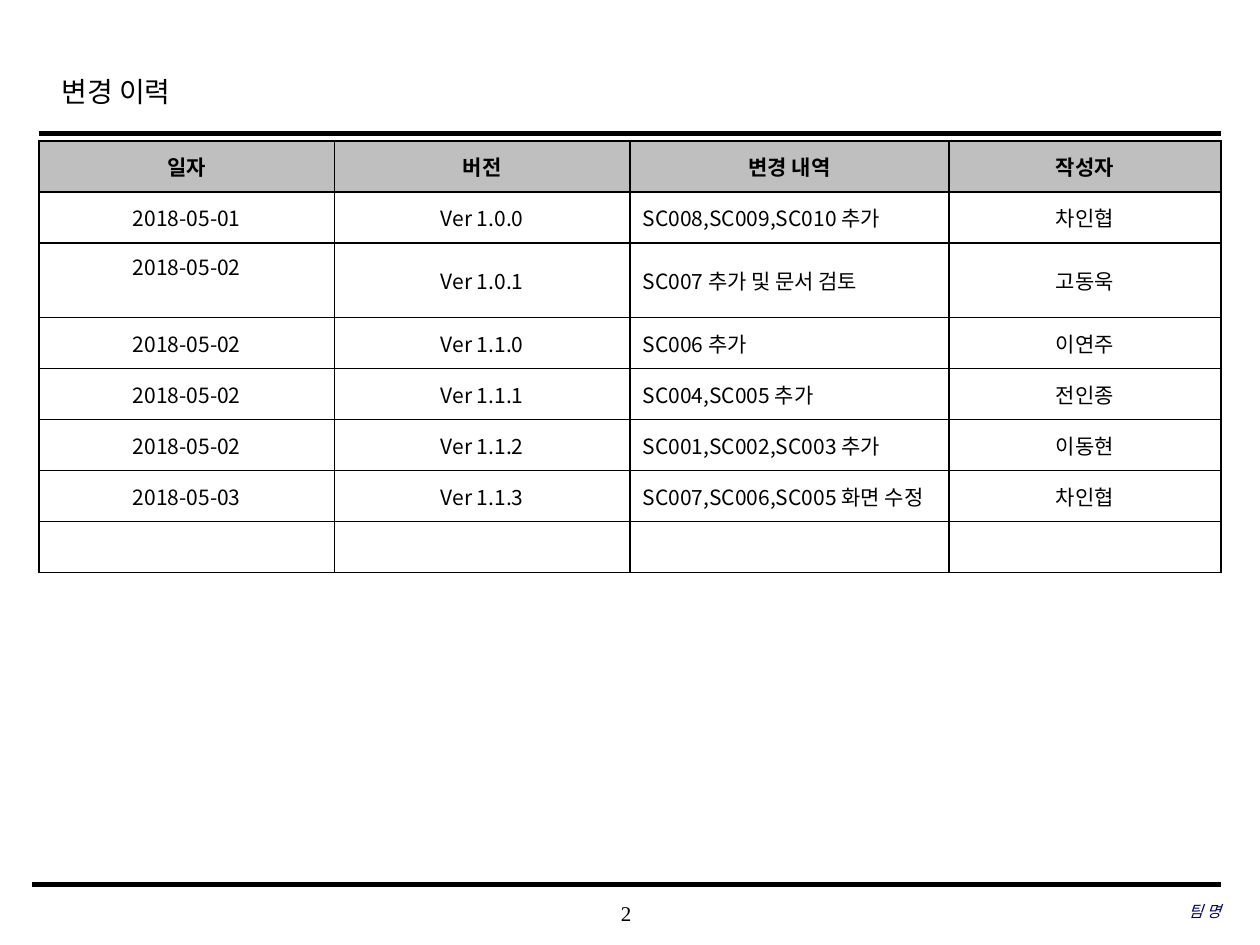
import pptx
import pptx.util
import pptx.dml.color
import pptx.enum.shapes
import pptx.enum.text
import pptx.oxml
import pptx.oxml.ns

Inches = pptx.util.Inches
ALIGN = pptx.enum.text.PP_ALIGN
ANCHOR = pptx.enum.text.MSO_ANCHOR
SERIF = "Times New Roman"
SANS = "Noto Sans CJK KR"
HEADINGS = ("일자", "버전", "변경 내역", "작성자")
CHANGES = (
    ("2018-05-01", "Ver 1.0.0", "SC008,SC009,SC010 추가", "차인협"),
    ("2018-05-02", "Ver 1.0.1", "SC007 추가 및 문서 검토", "고동욱"),
    ("2018-05-02", "Ver 1.1.0", "SC006 추가", "이연주"),
    ("2018-05-02", "Ver 1.1.1", "SC004,SC005 추가", "전인종"),
    ("2018-05-02", "Ver 1.1.2", "SC001,SC002,SC003 추가", "이동현"),
    ("2018-05-03", "Ver 1.1.3", "SC007,SC006,SC005 화면 수정", "차인협"),
    ("", "", "", ""),
)
COLUMN_SHARES = (0.25, 0.25, 0.27, 0.23)
ROW_HEIGHT = 0.405
TALL_ROW, TALL_HEIGHT = 2, 0.59


def color(code):
    """Return the colour for a hex string."""
    return pptx.dml.color.RGBColor.from_string(code)


def write(frame, text, size=12, font=SERIF, ink="000000", bold=False,
          italic=False, align=ALIGN.LEFT, spacing=None):
    """Write one formatted paragraph into a text frame."""
    frame.word_wrap = True
    paragraph = frame.paragraphs[0]
    paragraph.alignment = align
    if spacing:
        paragraph.line_spacing = spacing
    if not text:
        paragraph.font.size = pptx.util.Pt(size)
        return
    run = paragraph.add_run()
    run.text = text
    run.font.name = font
    run.font.size = pptx.util.Pt(size)
    run.font.bold = bold
    run.font.italic = italic
    run.font.color.rgb = color(ink)
    run.font._element.get_or_add_latin().addnext(pptx.oxml.parse_xml(
        f'<a:ea {pptx.oxml.ns.nsdecls("a")} typeface="{SANS}"/>'))


def add_label(slide, box, text, inset=True, **style):
    """Add a text box, optionally without insets and centred vertically."""
    frame = slide.shapes.add_textbox(*map(Inches, box)).text_frame
    if not inset:
        frame.margin_left = frame.margin_right = 0
        frame.margin_top = frame.margin_bottom = 0
        frame.vertical_anchor = ANCHOR.MIDDLE
    write(frame, text, **style)


def add_rule(slide, left, right, y, weight):
    """Draw a horizontal black rule."""
    rule = slide.shapes.add_connector(
        pptx.enum.shapes.MSO_CONNECTOR.STRAIGHT,
        Inches(left), Inches(y), Inches(right), Inches(y))
    rule.line.color.rgb = color("000000")
    rule.line.width = pptx.util.Pt(weight)
    rule._element.spPr.append(
        pptx.oxml.parse_xml(f'<a:effectLst {pptx.oxml.ns.nsdecls("a")}/>'))


def add_borders(cell):
    """Give a cell thin black borders on all four sides."""
    properties = cell._tc.get_or_add_tcPr()
    for index, side in enumerate("LRTB"):
        properties.insert(index, pptx.oxml.parse_xml(
            f'<a:ln{side} {pptx.oxml.ns.nsdecls("a")} w="12700"><a:solidFill>'
            f'<a:srgbClr val="000000"/></a:solidFill></a:ln{side}>'))


def add_header(slide, left, top, width):
    """Place the title and the rule under it."""
    add_label(slide, (left + 0.08, top, 7.55, 0.5), "변경 이력",
              size=16, spacing=1.2)
    add_rule(slide, left, left + width, top + 0.57, 2.5)


def add_history(slide, left, top, width):
    """Place the table of changes."""
    rows = (HEADINGS,) + CHANGES
    heights = [TALL_HEIGHT if r == TALL_ROW else ROW_HEIGHT
               for r in range(len(rows))]
    table = slide.shapes.add_table(
        len(rows), len(HEADINGS), Inches(left), Inches(top),
        Inches(width), Inches(sum(heights))).table
    table.first_row = table.horz_banding = False
    for column, share in zip(table.columns, COLUMN_SHARES):
        column.width = Inches(width * share)
    for r, (values, height) in enumerate(zip(rows, heights)):
        table.rows[r].height = Inches(height)
        for c, value in enumerate(values):
            heading = r == 0
            cell = table.cell(r, c)
            cell.fill.solid()
            cell.fill.fore_color.rgb = color("BFBFBF" if heading else "FFFFFF")
            cell.vertical_anchor = ANCHOR.MIDDLE
            add_borders(cell)
            description = c == 2 and not heading
            write(cell.text_frame, value, font=SANS, bold=heading,
                  align=ALIGN.LEFT if description else ALIGN.CENTER)
    tall_date = table.cell(TALL_ROW, 0)
    tall_date.vertical_anchor = ANCHOR.TOP
    tall_date.margin_top = Inches(0.06)


def add_footer(slide, left, top, width):
    """Place the bottom rule, the page number and the team name."""
    right = left + width
    add_rule(slide, left, right, top, 3)
    add_label(slide, (left + 3.68, top + 0.06, 2.08, 0.33), "2",
              inset=False, align=ALIGN.CENTER)
    add_label(slide, (right - 3.06, top + 0.05, 3.06, 0.33), "팀 명",
              inset=False, size=9, ink="000066", italic=True,
              align=ALIGN.RIGHT)


def main():
    """Build the change history slide."""
    deck = pptx.Presentation()
    deck.slide_width, deck.slide_height = Inches(10), Inches(7.5)
    slide = deck.slides.add_slide(deck.slide_layouts[6])
    add_header(slide, 0.31, 0.49, 9.38)
    add_history(slide, 0.31, 1.12, 9.38)
    add_footer(slide, 0.25, 7.02, 9.44)
    deck.save("out.pptx")


if __name__ == "__main__":
    main()
